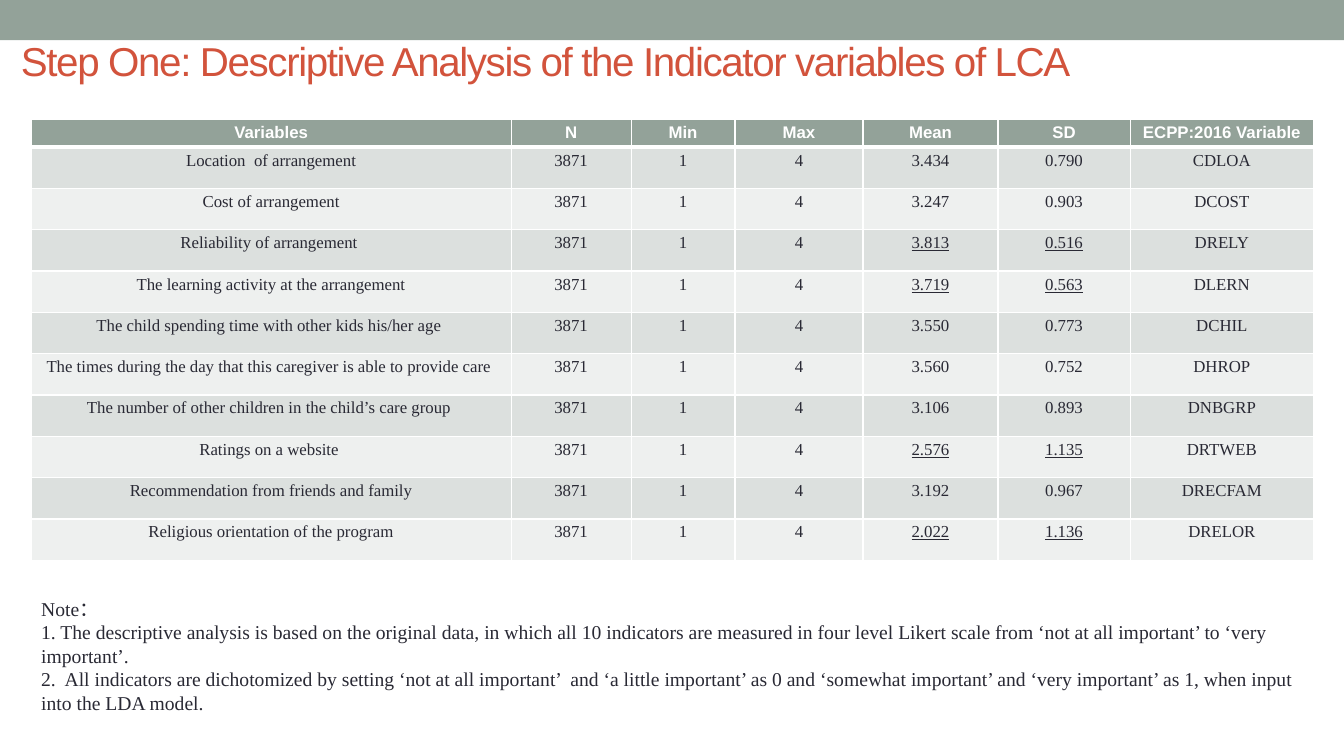
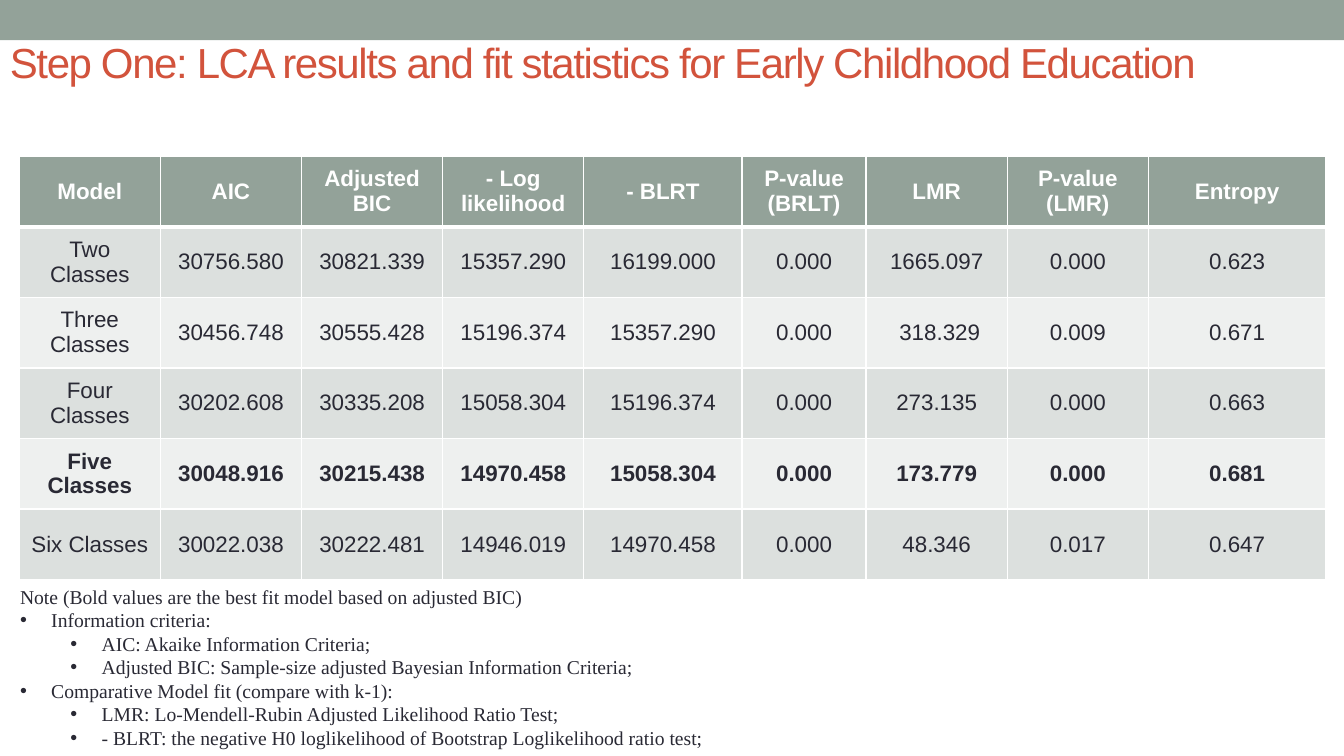
from lxml.etree import SubElement
from pptx import Presentation
from pptx.dml.color import RGBColor
from pptx.enum.shapes import MSO_SHAPE
from pptx.enum.text import MSO_ANCHOR as ANCHOR, PP_ALIGN as ALIGN
from pptx.oxml.ns import qn
from pptx.util import Inches, Pt

SANS, SERIF = "Arial", "Times New Roman"
SAGE, RUST, INK, WHITE = "93A299", "D2533C", "292934", "FFFFFF"
STRIPES = ("DCE0DE", "EEF0EF")
NOTE = dict(size=14, name=SERIF, color=INK)

INDICATORS = [
    ("Location  of arrangement", "3.434", "0.790", "CDLOA"),
    ("Cost of arrangement", "3.247", "0.903", "DCOST"),
    ("Reliability of arrangement ", "3.813", "0.516", "DRELY"),
    ("The learning activity at the arrangement", "3.719", "0.563", "DLERN"),
    ("The child spending time with other kids his/her age ", "3.550", "0.773", "DCHIL"),
    ("The times during the day that this caregiver is able to provide care ",
     "3.560", "0.752", "DHROP"),
    ("The number of other children in the child’s care group ", "3.106", "0.893", "DNBGRP"),
    ("Ratings on a website ", "2.576", "1.135", "DRTWEB"),
    ("Recommendation from friends and family", "3.192", "0.967", "DRECFAM"),
    ("Religious orientation of the program", "2.022", "1.136", "DRELOR"),
]
UNDERLINED = {"DRELY", "DLERN", "DRTWEB", "DRELOR"}
INDICATOR_NOTES = [
    (0, "Note："),
    (0, "1. The descriptive analysis is based on the original data, in which all 10 indicators "
        "are measured in four level Likert scale from ‘not at all important’ to ‘very important’."),
    (0, "2.  All indicators are dichotomized by setting ‘not at all important’  and ‘a little "
        "important’ as 0 and ‘somewhat important’ and ‘very important’ as 1, when input into "
        "the LDA model."),
]

FIT_HEAD = ("Model", "AIC", "Adjusted BIC", "- Log likelihood", "- BLRT",
            "P-value (BRLT)", "LMR", "P-value (LMR)", "Entropy")
FITS = [
    ("Two Classes", "30756.580", "30821.339", "15357.290", "16199.000",
     "0.000", "1665.097", "0.000", "0.623"),
    ("Three Classes", "30456.748", "30555.428", "15196.374", "15357.290",
     "0.000", " 318.329", "0.009", "0.671"),
    ("Four Classes", "30202.608", "30335.208", "15058.304", "15196.374",
     "0.000", "273.135", "0.000", "0.663"),
    ("Five Classes", "30048.916", "30215.438", "14970.458", "15058.304",
     "0.000", "173.779", "0.000", "0.681"),
    ("Six Classes", "30022.038", "30222.481", "14946.019", "14970.458",
     "0.000", "48.346", "0.017", "0.647"),
]
BEST_FIT = "Five Classes"
FIT_NOTES = [
    (0, "Note (Bold values are the best fit model based on adjusted BIC)"),
    (1, "Information criteria:"),
    (2, "AIC: Akaike Information Criteria;"),
    (2, "Adjusted BIC: Sample-size adjusted Bayesian Information Criteria;"),
    (1, "Comparative Model fit (compare with k-1):"),
    (2, "LMR: Lo‐Mendell‐Rubin Adjusted Likelihood Ratio Test;"),
    (2, "- BLRT: the negative H0 loglikelihood of Bootstrap Loglikelihood ratio test;"),
]


def rgb(value):
    """Turn a hex string into a colour."""
    return RGBColor.from_string(value)


def add_run(p, text, size, color, **formats):
    """Add a run with the given font formats to a paragraph."""
    r = p.add_run()
    r.text = text
    r.font.size = Pt(size)
    r.font.color.rgb = rgb(color)
    for key, value in formats.items():
        setattr(r.font, key, value)
    return r


def add_text_frame(s, box):
    """Add a wrapping text box and return its text frame."""
    tf = s.shapes.add_textbox(*map(Inches, box)).text_frame
    tf.word_wrap = True
    return tf


def add_band(s, box):
    """Draw the plain band at the top of a slide."""
    sp = s.shapes.add_shape(MSO_SHAPE.RECTANGLE, *map(Inches, box))
    sp.shadow.inherit = False
    sp.fill.solid()
    sp.fill.fore_color.rgb = rgb(SAGE)
    sp.line.fill.background()


def add_title(s, box, text, size):
    """Write the tightly spaced slide title."""
    tf = add_text_frame(s, box)
    tf.vertical_anchor = ANCHOR.MIDDLE
    r = add_run(tf.paragraphs[0], text, size, RUST, name=SANS)
    r.font._element.set("spc", "-100")


def add_notes(s, box, notes):
    """Write the note lines, with bullets on depths one and two."""
    tf = add_text_frame(s, box)
    for i, (depth, text) in enumerate(notes):
        p = tf.add_paragraph() if i else tf.paragraphs[0]
        add_run(p, text, **NOTE)
        if depth:
            p.level = depth - 1
            pPr = p._p.get_or_add_pPr()
            pPr.set("marL", str(Inches(0.31 + 0.5 * p.level)))
            pPr.set("indent", str(-Inches(0.31)))
            SubElement(pPr, qn("a:buFont"), typeface="Arial")
            SubElement(pPr, qn("a:buChar"), char="•")


def set_borders(cell, top, bottom):
    """Give a cell white borders, with its own top and bottom widths."""
    tcPr = cell._tc.get_or_add_tcPr()
    for side, width in dict(L=1, R=1, T=top, B=bottom).items():
        ln = SubElement(tcPr, qn(f"a:ln{side}"), w=str(Pt(width)))
        SubElement(SubElement(ln, qn("a:solidFill")), qn("a:srgbClr"), val=WHITE)


def add_grid(s, left, top, cols, heights, rows, size, body_font, anchor, emphasis):
    """Add a striped table; emphasis gives extra formats for a body cell."""
    box = map(Inches, (left, top, sum(cols), sum(heights)))
    table = s.shapes.add_table(len(rows), len(cols), *box).table
    for col, width in zip(table.columns, cols):
        col.width = Inches(width)
    for i, (row, height, values) in enumerate(zip(table.rows, heights, rows)):
        row.height = Inches(height)
        for j, (cell, text) in enumerate(zip(row.cells, values)):
            cell.margin_top = cell.margin_bottom = Inches(0.04)
            cell.vertical_anchor = anchor
            set_borders(cell, 3 if i == 1 else 1, 1 if i else 3)
            cell.fill.solid()
            cell.fill.fore_color.rgb = rgb(STRIPES[(i - 1) % 2] if i else SAGE)
            formats = dict(name=SANS, color=WHITE, bold=True)
            if i:
                formats = dict(name=body_font, color=INK, bold=False) | emphasis(values, j)
            p = cell.text_frame.paragraphs[0]
            p.alignment = ALIGN.CENTER
            add_run(p, text, size, **formats)


def underline_extremes(values, j):
    """Underline the mean and SD of the marked variables."""
    return dict(underline=True) if values[-1] in UNDERLINED and j in (4, 5) else {}


def bold_best(values, j):
    """Set the row of the best model in bold."""
    return dict(bold=values[0] == BEST_FIT)


def add_slide(prs):
    """Add a blank slide with the shared band."""
    s = prs.slides.add_slide(prs.slide_layouts[6])
    add_band(s, (0, 0, 13.33, 0.4))
    return s


def indicator_slide(prs):
    """Build the slide with the descriptive analysis."""
    s = add_slide(prs)
    add_title(s, (0.11, 0.38, 12, 0.44),
              "Step One: Descriptive Analysis of the Indicator variables of LCA", 28.8)
    rows = [("Variables", "N", "Min", "Max", "Mean", "SD", "ECPP:2016 Variable")]
    rows += [(label, "3871", "1", "4", *rest) for label, *rest in INDICATORS]
    add_grid(s, 0.31, 1.18, (4.76, 1.19, 1.03, 1.27, 1.34, 1.31, 1.82),
             [0.28] + [0.41] * len(INDICATORS), rows, 12, SERIF, ANCHOR.TOP, underline_extremes)
    add_notes(s, (0.31, 5.87, 12.72, 1.28), INDICATOR_NOTES)


def fit_slide(prs):
    """Build the slide with the fit statistics."""
    s = add_slide(prs)
    add_title(s, (0, 0.41, 12, 0.41),
              "Step One: LCA results and fit statistics for Early Childhood Education", 30)
    rows = [FIT_HEAD, *FITS]
    add_grid(s, 0.19, 1.55, (1.4, 1.4, 1.4, 1.4, 1.57, 1.23, 1.4, 1.4, 1.76),
             [0.7] * len(rows), rows, 16, SANS, ANCHOR.MIDDLE, bold_best)
    add_notes(s, (0.1, 5.75, 9.49, 1.75), FIT_NOTES)


def main():
    """Build and save the presentation."""
    prs = Presentation()
    prs.slide_width, prs.slide_height = Inches(13.33), Inches(7.5)
    indicator_slide(prs)
    fit_slide(prs)
    prs.save("out.pptx")


if __name__ == "__main__":
    main()
